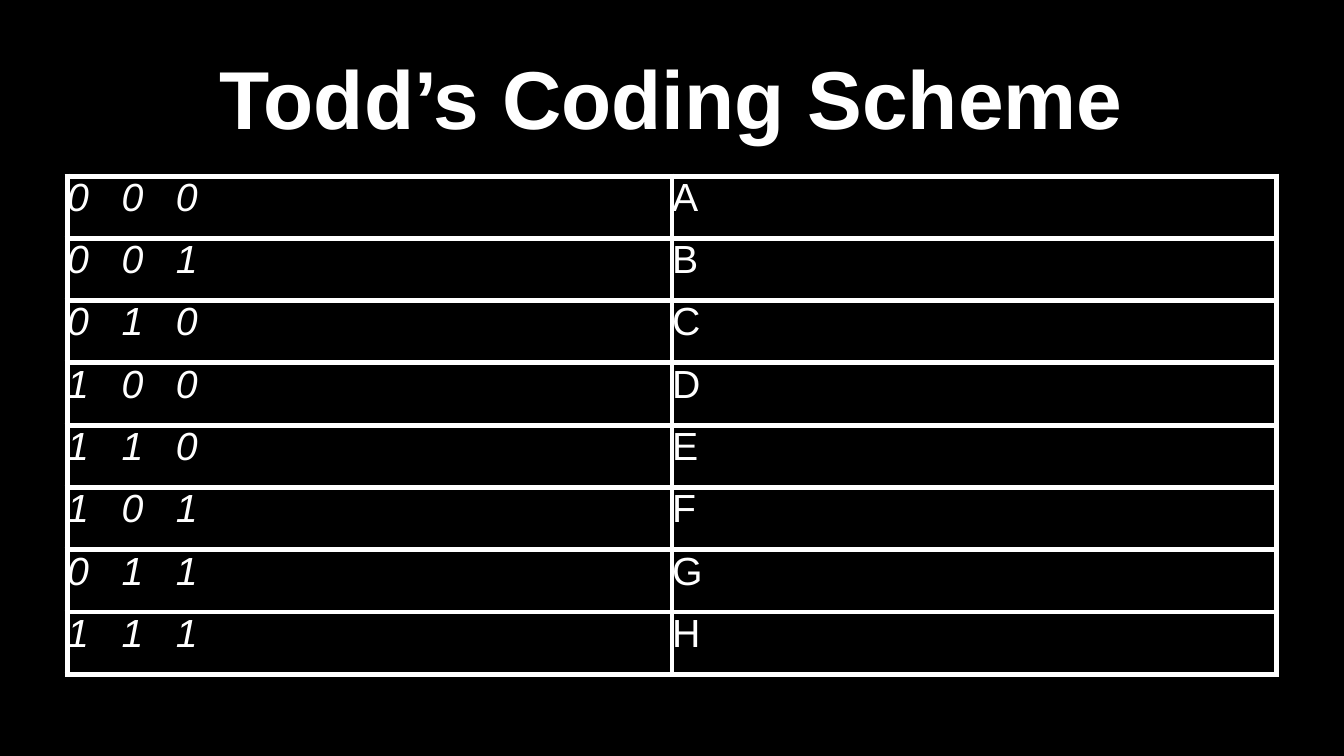
import pptx
import pptx.dml.color
import pptx.enum.text
import pptx.oxml
import pptx.oxml.ns
import pptx.util
from pptx.util import Inches

COLORS = {"background": "000000", "text": "FFFFFF", "border": "FFFFFF"}
ALIGN = pptx.enum.text.PP_ALIGN
ANCHOR = pptx.enum.text.MSO_ANCHOR

# A 16:9 page
PAGE_SIZE = {"slide_width": Inches(10), "slide_height": Inches(10) * 9 // 16}

TITLE_FONT = {"name": "Arial", "size": pptx.util.Pt(44), "bold": True}
CODE_FONT = {"name": "Arial", "size": pptx.util.Pt(21), "bold": False, "italic": True}
LETTER_FONT = {**CODE_FONT, "italic": False}
TITLE_PARA = {"alignment": ALIGN.CENTER, "space_before": pptx.util.Pt(12),
              "space_after": pptx.util.Pt(3)}
CELL_PARA = {"alignment": ALIGN.LEFT, "space_before": pptx.util.Pt(4)}
CELL_FORMAT = {"margin_left": 0, "margin_right": 0, "margin_top": 0,
               "margin_bottom": 0, "vertical_anchor": ANCHOR.TOP}
PLAIN_TABLE = {"first_row": False, "horz_banding": False}

# Bit patterns in the order of the letters A to H
CODES = ["000", "001", "010", "100", "110", "101", "011", "111"]
LETTERS = "ABCDEFGH"


def rgb(name):
    return pptx.dml.color.RGBColor.from_string(COLORS[name])


def apply_format(target, values):
    for name, value in values.items():
        setattr(target, name, value)


def write_text(frame, text, para_format, font_format):
    para = frame.paragraphs[0]
    apply_format(para, para_format)
    span = para.add_run()
    span.text = text
    apply_format(span.font, font_format)
    span.font.color.rgb = rgb("text")


def add_title(page, text):
    box = page.shapes.add_textbox(Inches(0.5), Inches(0.19), Inches(9), Inches(1.06))
    apply_format(box.text_frame, {"word_wrap": True, "vertical_anchor": ANCHOR.MIDDLE})
    write_text(box.text_frame, text, TITLE_PARA, TITLE_FONT)


def add_borders(cell, points):
    properties = cell._tc.get_or_add_tcPr()
    for position, side in enumerate(("lnL", "lnR", "lnT", "lnB")):
        line = pptx.oxml.parse_xml(
            f'<a:{side} {pptx.oxml.ns.nsdecls("a")} w="{pptx.util.Pt(points)}">'
            f'<a:solidFill><a:srgbClr val="{COLORS["border"]}"/></a:solidFill>'
            f'</a:{side}>')
        properties.insert(position, line)


def fill_cell(cell, text, font_format):
    apply_format(cell, CELL_FORMAT)
    cell.fill.background()
    add_borders(cell, 3)
    write_text(cell.text_frame, text, CELL_PARA, font_format)


def add_code_table(page):
    frame = page.shapes.add_table(len(CODES), 2, Inches(0.5), Inches(1.31),
                                  Inches(9), Inches(3.71))
    table = frame.table
    apply_format(table, PLAIN_TABLE)
    for row, (code, letter) in enumerate(zip(CODES, LETTERS)):
        fill_cell(table.cell(row, 0), "   ".join(code), CODE_FONT)
        fill_cell(table.cell(row, 1), letter, LETTER_FONT)


def main():
    deck = pptx.Presentation()
    apply_format(deck, PAGE_SIZE)
    page = deck.slides.add_slide(deck.slide_layouts[6])

    # Background
    page.background.fill.solid()
    page.background.fill.fore_color.rgb = rgb("background")

    # Title and code table
    add_title(page, "Todd’s Coding Scheme")
    add_code_table(page)

    deck.save("out.pptx")


if __name__ == "__main__":
    main()
